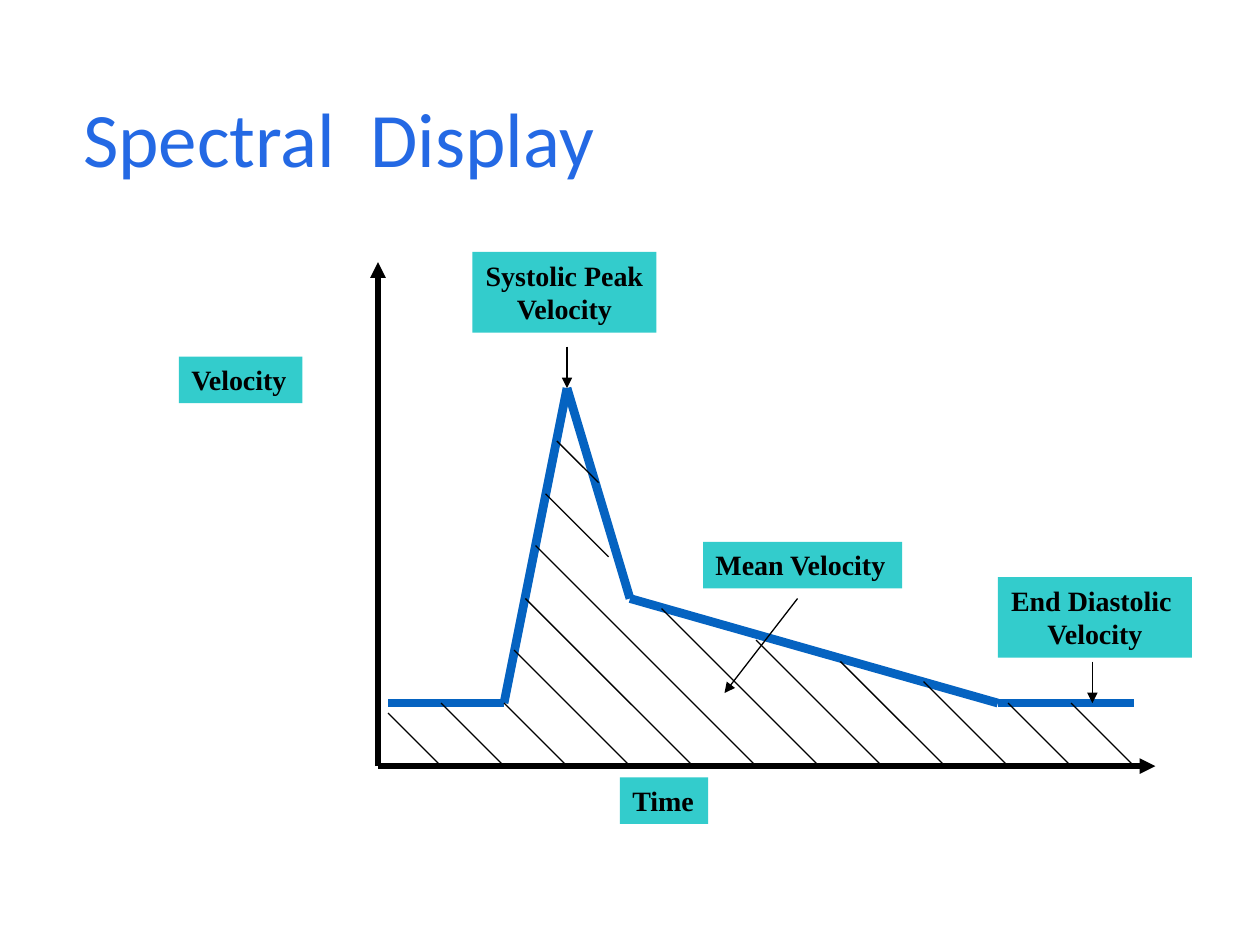
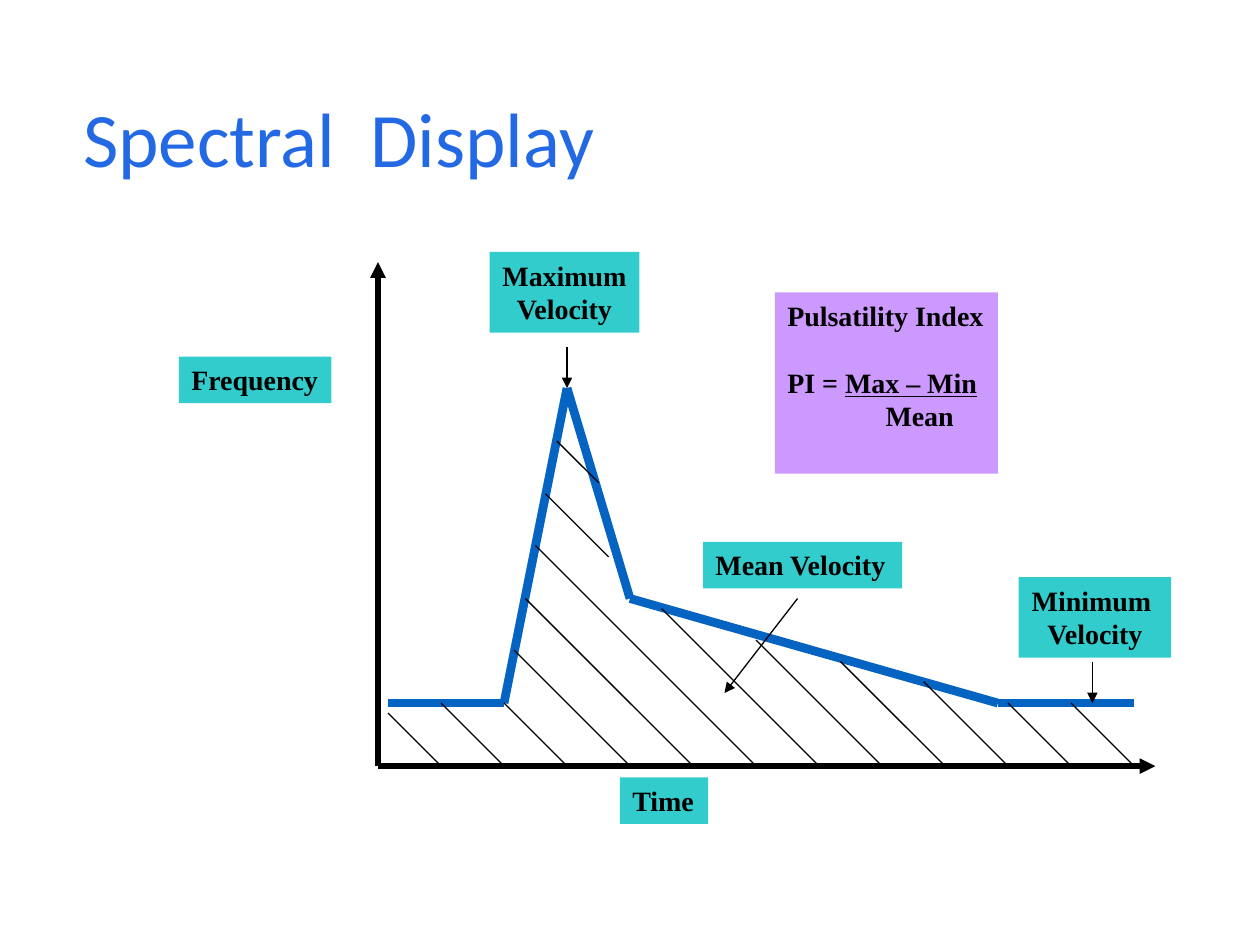
from itertools import pairwise
from lxml.etree import SubElement
from pptx import Presentation
from pptx.dml.color import RGBColor
from pptx.enum.shapes import MSO_CONNECTOR, MSO_SHAPE
from pptx.enum.text import MSO_ANCHOR, MSO_AUTO_SIZE, PP_ALIGN
from pptx.oxml.ns import qn
from pptx.util import Inches, Pt

COLORS = {"title": "2469E4", "ink": "000000", "curve": "0563C1",
          "label": "33CCCC", "index": "CC99FF"}
PLOT = (3, 2.08, 6.17, 4)
CURVE = [(0.08, 3.5), (1, 3.5), (1.5, 1), (2, 2.67), (4.92, 3.5), (6, 3.5)]
ARROWS = [((5.67, 3.17), (5.67, 3.5)), ((1.5, 0.67), (1.5, 1)),
          ((3.33, 2.67), (2.75, 3.42))]
HATCH = [0.08, 0.5, 1, 1.08, 1.17, 1.25, 2.25, 3, 3.67, 4.33, 5, 5.5]
SHORT = [(1.33, 1.84, 0.5), (1.42, 1.42, 0.33)]


def paint(fill, name):
    """Give a fill one of the named colours."""
    fill.solid()
    fill.fore_color.rgb = RGBColor.from_string(COLORS[name])


def write(para, text, font="Times New Roman", size=16, color="ink",
          bold=True, under=None, space=None):
    """Add a formatted run to a paragraph."""
    run = para.add_run()
    run.text = text
    run.font.name, run.font.size = font, Pt(size)
    run.font.bold, run.font.underline = bold, under
    run.font.color.rgb = RGBColor.from_string(COLORS[color])
    if space:
        run.font._element.set("spc", str(space))


def draw(slide, box, start, end, color="ink", width=0.75, arrow=False):
    """Draw a straight line inside a box."""
    left, top = box[:2]
    ends = [Inches(base + value) for point in (start, end)
            for base, value in zip((left, top), point)]
    line = slide.shapes.add_connector(MSO_CONNECTOR.STRAIGHT, *ends)
    paint(line.line.fill, color)
    line.line.width = Pt(width)
    if arrow:
        SubElement(line.line._get_or_add_ln(), qn("a:tailEnd"), type="triangle")
    SubElement(line._element.spPr, qn("a:effectLst"))


def label(slide, box, place, lines, color="label", center=False):
    """Place a filled label inside a box and return its paragraphs."""
    left, top, width, height = place
    shape = slide.shapes.add_shape(
        MSO_SHAPE.RECTANGLE, Inches(box[0] + left), Inches(box[1] + top),
        Inches(width), Inches(height))
    shape.shadow.inherit = False
    paint(shape.fill, color)
    shape.line.fill.background()
    frame = shape.text_frame
    frame.word_wrap = True
    frame.vertical_anchor = MSO_ANCHOR.TOP
    frame.margin_left = Inches(0 if center else 0.1)
    frame.margin_right = 0
    for row, text in enumerate(lines):
        para = frame.add_paragraph() if row else frame.paragraphs[0]
        para.alignment = PP_ALIGN.CENTER if center else PP_ALIGN.LEFT
        write(para, text)
    return frame.paragraphs


def graph(slide, box):
    """Draw the axes, the curve and the hatching below it."""
    wide, high = box[2:]
    draw(slide, box, (0, high), (0, 0), width=3, arrow=True)
    draw(slide, box, (0, high), (wide, high), width=3, arrow=True)
    for start, end in pairwise(CURVE):
        draw(slide, box, start, end, "curve", 5)
    for step, left in enumerate(HATCH, 1):
        foot = step / 2
        draw(slide, box, (left, high - foot + left), (foot, high))
    for left, top, size in SHORT:
        draw(slide, box, (left, top), (left + size, top + size))
    for start, end in ARROWS:
        draw(slide, box, start, end, arrow=True)


def names(slide, box, axis, peak, low):
    """Label the axes and the velocities; each name comes with its width."""
    for (lines, width), middle, top in ((peak, 1.48, -0.08), (low, 5.69, 2.5)):
        label(slide, box, (middle - width / 2, top, width, 0.64), lines,
              center=True)
    sides = [(*axis, -1.58, 0.75), ("Time", 0.7, 1.92, 4.09),
             ("Mean Velocity", 1.58, 2.58, 2.22)]
    for text, width, left, top in sides:
        label(slide, box, (left, top, width, 0.37), [text])


def index(slide, box):
    """Show the formula of the pulsatility index."""
    lines = ["Pulsatility Index", "PI = ", "Mean"]
    rows = label(slide, box, (3.15, 0.24, 1.77, 1.44), lines, "index")
    rows[1].space_before = Pt(19)
    write(rows[1], "Max – Min", under=True)
    rows[2]._p.get_or_add_pPr().set("marL", str(Inches(0.78)))


def spectrum(deck, axis, peak, low):
    """Add a slide with the title and a labelled spectrum."""
    slide = deck.slides.add_slide(deck.slide_layouts[5])
    frame = slide.shapes.title.text_frame
    frame.auto_size = MSO_AUTO_SIZE.NONE
    frame.vertical_anchor = MSO_ANCHOR.MIDDLE
    frame.margin_left = Inches(0.24)
    para = frame.paragraphs[0]
    para.alignment, para.line_spacing = PP_ALIGN.LEFT, 0.9
    style = {"font": "Calibri", "size": 44, "color": "title", "bold": False}
    write(para, "Spectral", **style)
    write(para, " ", space=990, **style)
    write(para, "Display", **style)
    graph(slide, PLOT)
    names(slide, PLOT, axis, peak, low)
    return slide


def main():
    """Build the deck."""
    deck = Presentation()
    deck.slide_width, deck.slide_height = Inches(10), Inches(7.5)
    head = deck.slide_layouts[5].placeholders[0]
    head.left, head.top = Inches(0.42), Inches(0.67)
    head.width, head.height = Inches(9), Inches(0.92)
    spectrum(deck, ("Velocity", 0.98), (["Systolic Peak", "Velocity"], 1.46),
             (["End Diastolic ", "Velocity"], 1.54))
    slide = spectrum(deck, ("Frequency", 1.21),
                     (["Maximum", "Velocity"], 1.19),
                     (["Minimum ", "Velocity"], 1.21))
    index(slide, PLOT)
    deck.save("out.pptx")


if __name__ == "__main__":
    main()
